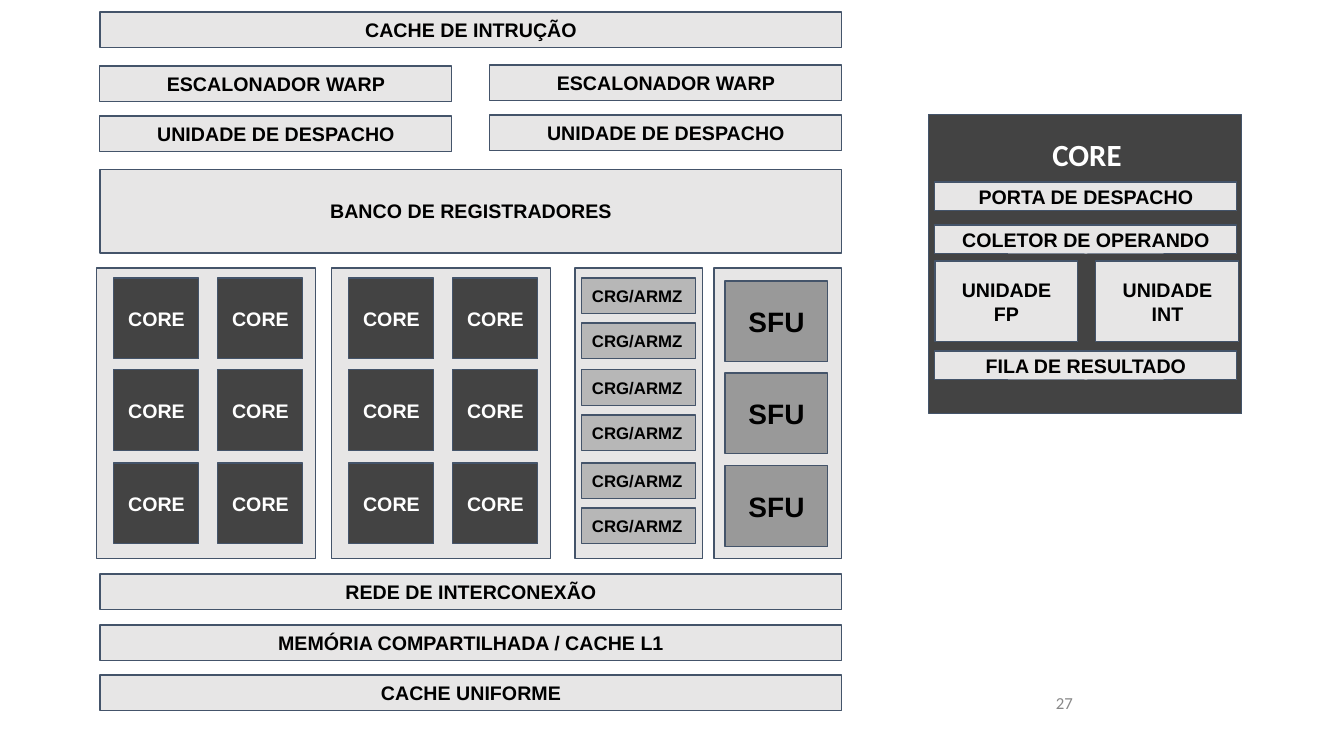
from pptx import Presentation
from pptx.dml.color import RGBColor
from pptx.enum.shapes import MSO_SHAPE
from pptx.enum.text import MSO_ANCHOR, PP_ALIGN
from pptx.util import Pt

PX = 914400 / 100.8
HUES = {
    "light": "E7E6E6", "dark": "434343", "silver": "B7B7B7", "gray": "999999",
    "edge": "44546A", "black": "000000", "white": "FFFFFF", "faint": "888888",
}


def emu(*sizes):
    """Turn px lengths into EMU."""
    return [round(size * PX) for size in sizes]


def hue(name):
    """Look up a colour by name."""
    return RGBColor.from_string(HUES[name])


def write(shape, text, size, color, align=PP_ALIGN.CENTER, font="Arial",
          bold=True, anchor=MSO_ANCHOR.MIDDLE, pad=10):
    """Fill a shape with one paragraph per line of text."""
    frame = shape.text_frame
    frame.word_wrap = True
    frame.vertical_anchor = anchor
    frame.margin_left, frame.margin_right = emu(10, 10)
    frame.margin_top, frame.margin_bottom = emu(pad, pad)
    for i, line in enumerate(text.split("\n")):
        para = frame.add_paragraph() if i else frame.paragraphs[0]
        para.alignment = align
        run = para.add_run()
        run.text = line
        run.font.name = font
        run.font.size = Pt(size)
        run.font.bold = bold
        run.font.color.rgb = hue(color)


def box(slide, x, y, w, h, text="", fill="light", size=14, color="black",
        align=PP_ALIGN.CENTER):
    """Draw an outlined rectangle with an optional label."""
    rect = slide.shapes.add_shape(MSO_SHAPE.RECTANGLE, *emu(x, y, w, h))
    rect.shadow.inherit = False
    rect.fill.solid()
    rect.fill.fore_color.rgb = hue(fill)
    rect.line.color.rgb = hue("edge")
    rect.line.width = Pt(0.75)
    if text:
        write(rect, text, size, color, align)


def label(slide, x, y, w, h, text, size, color, **style):
    """Place a text box in Calibri."""
    area = slide.shapes.add_textbox(*emu(x, y, w, h))
    write(area, text, size, color, font="Calibri", **style)


def bars(slide):
    """Draw the wide bars and the paired units."""
    for y, h, text in [
        (12, 36, "CACHE DE INTRUÇÃO"),
        (169, 84, "BANCO DE REGISTRADORES"),
        (574, 36, "REDE DE INTERCONEXÃO"),
        (625, 36, "MEMÓRIA COMPARTILHADA / CACHE L1"),
        (675, 36, "CACHE UNIFORME"),
    ]:
        box(slide, 100, y, 742, h, text)
    for y, text in [(66, "ESCALONADOR WARP"), (116, "UNIDADE DE DESPACHO")]:
        box(slide, 100, y, 352, 36, text)
        box(slide, 490, y - 1, 352, 36, text)


def banks(slide):
    """Draw the core, load/store and SFU columns."""
    for x, w in [(97, 219), (332, 219), (575, 128), (714, 128)]:
        box(slide, x, 268, w, 291)
    for row in range(3):
        y = 278 + row * 185 // 2
        for left in (114, 349):
            for x in (left, left + 104):
                box(slide, x, y, 85, 81, "CORE", "dark", color="white")
        for drop in (0, 45):
            box(slide, 582, y + drop, 114, 36, "CRG/ARMZ", "silver", 12,
                align=PP_ALIGN.LEFT)
        box(slide, 725, y + 3, 103, 81, "SFU", "gray", 20)


def core(slide):
    """Draw the detail of a single core."""
    box(slide, 929, 115, 313, 299, fill="dark")
    label(slide, 982, 126, 210, 36, "CORE", 22, "white", anchor=MSO_ANCHOR.TOP)
    for y, text in [(182, "PORTA DE DESPACHO"), (225, "COLETOR DE OPERANDO"),
                    (351, "FILA DE RESULTADO")]:
        box(slide, 935, y, 302, 29, text)
    for x, kind in [(935, "FP"), (1096, "INT")]:
        box(slide, x, 261, 143, 81, f"UNIDADE\n{kind}")


def main():
    """Build and save the slide."""
    deck = Presentation()
    deck.slide_width, deck.slide_height = emu(1344, 756)
    slide = deck.slides.add_slide(deck.slide_layouts[6])
    bars(slide)
    banks(slide)
    core(slide)
    label(slide, 781, 683, 302, 40, "27", 12, "faint",
          align=PP_ALIGN.RIGHT, bold=False, pad=5)
    deck.save("out.pptx")


if __name__ == "__main__":
    main()
